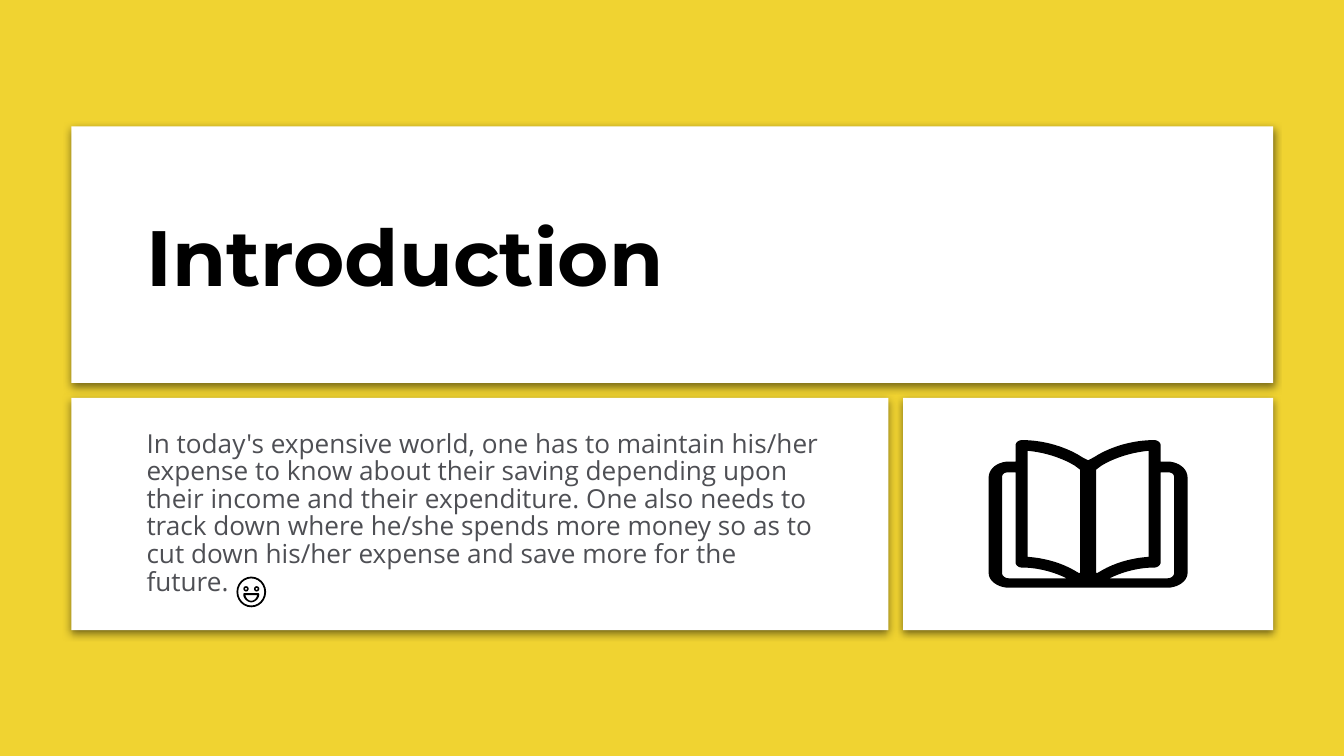
from pptx import Presentation
from pptx.dml.color import RGBColor
from pptx.enum.shapes import MSO_SHAPE
from pptx.enum.text import MSO_ANCHOR
from pptx.oxml import parse_xml
from pptx.oxml.ns import nsdecls, qn
from pptx.util import Cm, Pt

CARD_SHAPE = MSO_SHAPE.ROUNDED_RECTANGLE
RING = MSO_SHAPE.DONUT
MIDDLE = MSO_ANCHOR.MIDDLE

COLORS = {"background": "F0D331", "card": "FFFFFF", "ink": "000000", "body": "4E4F54"}
GAP = 0.28
TEXT_INDENT = 1.17
TEXT_WIDTH = 13.34
INTRODUCTION = (
    "In today's expensive world, one has to maintain his/her expense to know about "
    "their saving depending upon their income and their expenditure. One also needs "
    "to track down where he/she spends more money so as to cut down his/her expense "
    "and save more for the future."
)

BOOK_GRID = (148, 110)
BOOK_EDGE = [(74, 110), (15, 110), (7, 110, 0, 105, 0, 99), (0, 28),
             (0, 21, 7, 16, 15, 16), (20, 16), (20, 4), (20, 2, 22, 0, 25, 0),
             (41, 0, 58, 5, 70, 13), (74, 15)]
BOOK_PAGE = [(29, 8), (41, 9, 54, 13, 64, 19), (68, 22), (68, 99), (67, 99),
             (56, 92, 43, 88, 29, 87)]
BOOK_COVER = [(20, 24), (20, 91), (20, 93, 22, 95, 25, 95), (36, 95, 48, 98, 58, 103),
              (15, 103), (12, 103, 10, 101, 10, 99), (10, 28), (10, 25, 12, 24, 15, 24)]
MOUTH_GRID = (12, 7)
MOUTH_EDGE = [(6, 0), (1, 0), (0, 0, 0, 1, 0, 1), (0, 4, 3, 7, 6, 7)]
MOUTH_HOLE = [(6, 1.5), (1.6, 1.5), (2, 4, 4, 5.8, 6, 5.8)]


def color(name):
    """Return the named palette colour."""
    return RGBColor.from_string(COLORS[name])


def paint(shape, name):
    """Give a shape a plain fill without line or shadow."""
    shape.fill.solid()
    shape.fill.fore_color.rgb = color(name)
    shape.line.fill.background()
    shape.shadow.inherit = False


def flatten(steps, pieces=10):
    """Turn points and cubic curves into a list of points."""
    points = [steps[0]]
    for step in steps[1:]:
        if len(step) == 2:
            points.append(step)
            continue
        knots = [points[-1], step[:2], step[2:4], step[4:]]
        for piece in range(1, pieces + 1):
            t = piece / pieces
            weights = ((1 - t) ** 3, 3 * t * (1 - t) ** 2, 3 * t * t * (1 - t), t ** 3)
            points.append(tuple(sum(w * knot[axis] for w, knot in zip(weights, knots))
                                for axis in (0, 1)))
    return points


def mirror(points, width):
    """Reflect points about the middle of a grid, in reverse order."""
    return [(width - x, y) for x, y in reversed(points)]


def symmetric(half, width):
    """Close a half outline with its reflection."""
    points = flatten(half)
    return points + mirror(points, width)


def add_outline(shapes, box, grid, contours):
    """Draw contours given on a grid as one filled shape within a box."""
    left, top, width, height = box

    def place(point):
        """Map a grid point to the slide."""
        return (int(Cm(left + point[0] * width / grid[0])),
                int(Cm(top + point[1] * height / grid[1])))

    builder = None
    for contour in contours:
        start, *rest = [place(point) for point in contour]
        if builder is None:
            builder = shapes.build_freeform(*start)
        else:
            builder.move_to(*start)
        builder.add_line_segments(rest, close=True)
    paint(builder.convert_to_shape(), "ink")


def add_card(slide, box):
    """Add a white card with a soft shadow below it."""
    card = slide.shapes.add_shape(CARD_SHAPE, *map(Cm, box))
    card.adjustments[0] = 0
    paint(card, "card")
    card.element.spPr.find(qn("a:effectLst")).append(parse_xml(
        f'<a:outerShdw {nsdecls("a")} blurRad="{Pt(4.5)}" dist="{Pt(1.5)}" '
        f'dir="5400000" algn="bl" rotWithShape="0"><a:srgbClr val="{COLORS["ink"]}">'
        '<a:alpha val="50000"/></a:srgbClr></a:outerShdw>'))


def add_text(slide, card, text, height, size, font, name, bold=False, spacing=1.0):
    """Place text at the indent of a card, centred vertically."""
    left, top, _, card_height = card
    box = (left + TEXT_INDENT, top + (card_height - height) / 2, TEXT_WIDTH, height)
    frame = slide.shapes.add_textbox(*map(Cm, box)).text_frame
    frame.word_wrap = True
    frame.vertical_anchor = MIDDLE
    frame.margin_left = frame.margin_right = Cm(0.25)
    frame.margin_top = frame.margin_bottom = Cm(0.25)
    frame.text = text
    paragraph = frame.paragraphs[0]
    paragraph.line_spacing = spacing
    style = paragraph.runs[0].font
    style.size, style.name, style.bold = Pt(size), font, bold
    style.color.rgb = color(name)


def add_smiley(slide, box):
    """Draw a grouped smiling face in a box."""
    left, top, width, height = box
    face = slide.shapes.add_group_shape().shapes
    eye = 0.18 * width
    rings = [(left, top, width, height, 0.06)]
    rings += [(left + x * width, top + 0.31 * height, eye, eye, 0.3) for x in (0.23, 0.59)]
    for *ring_box, thickness in rings:
        ring = face.add_shape(RING, *map(Cm, ring_box))
        ring.adjustments[0] = thickness
        paint(ring, "ink")
    mouth = (left + 0.23 * width, top + 0.54 * height, 0.54 * width, 0.3 * height)
    add_outline(face, mouth, MOUTH_GRID,
                [symmetric(half, MOUTH_GRID[0]) for half in (MOUTH_EDGE, MOUTH_HOLE)])


def add_title_card(slide, box):
    """Fill the wide card with the title."""
    add_card(slide, box)
    add_text(slide, box, "Introduction", 3.58, 42, "Montserrat", "ink", bold=True)


def add_body_card(slide, box):
    """Fill the text card with the paragraph and the smiley."""
    add_card(slide, box)
    add_text(slide, box, INTRODUCTION, 2.39, 14, "Open Sans", "body", spacing=0.88)
    add_smiley(slide, (box[0] + 3.12, box[1] + 3.38, 0.56, 0.58))


def add_book_card(slide, box):
    """Fill the icon card with an open book."""
    left, top, width, height = box
    add_card(slide, box)
    book_width, book_height = 3.76, 2.79
    book = (left + (width - book_width) / 2, top + (height - book_height) / 2,
            book_width, book_height)
    contours = [symmetric(BOOK_EDGE, BOOK_GRID[0])]
    for half in (BOOK_PAGE, BOOK_COVER):
        points = flatten(half)
        contours += [points, mirror(points, BOOK_GRID[0])]
    add_outline(slide.shapes, book, BOOK_GRID, contours)


def main():
    """Build the introduction slide."""
    deck = Presentation()
    deck.slide_width, deck.slide_height = Cm(25.4), Cm(14.29)
    slide = deck.slides.add_slide(deck.slide_layouts[6])
    slide.background.fill.solid()
    slide.background.fill.fore_color.rgb = color("background")

    left, top, width, title_height = 1.35, 2.39, 22.71, 4.85
    body_width, lower_height = 15.44, 4.39
    lower_top = top + title_height + GAP
    book_left = left + body_width + GAP
    add_body_card(slide, (left, lower_top, body_width, lower_height))
    add_title_card(slide, (left, top, width, title_height))
    add_book_card(slide, (book_left, lower_top, left + width - book_left, lower_height))
    deck.save("out.pptx")


if __name__ == "__main__":
    main()
